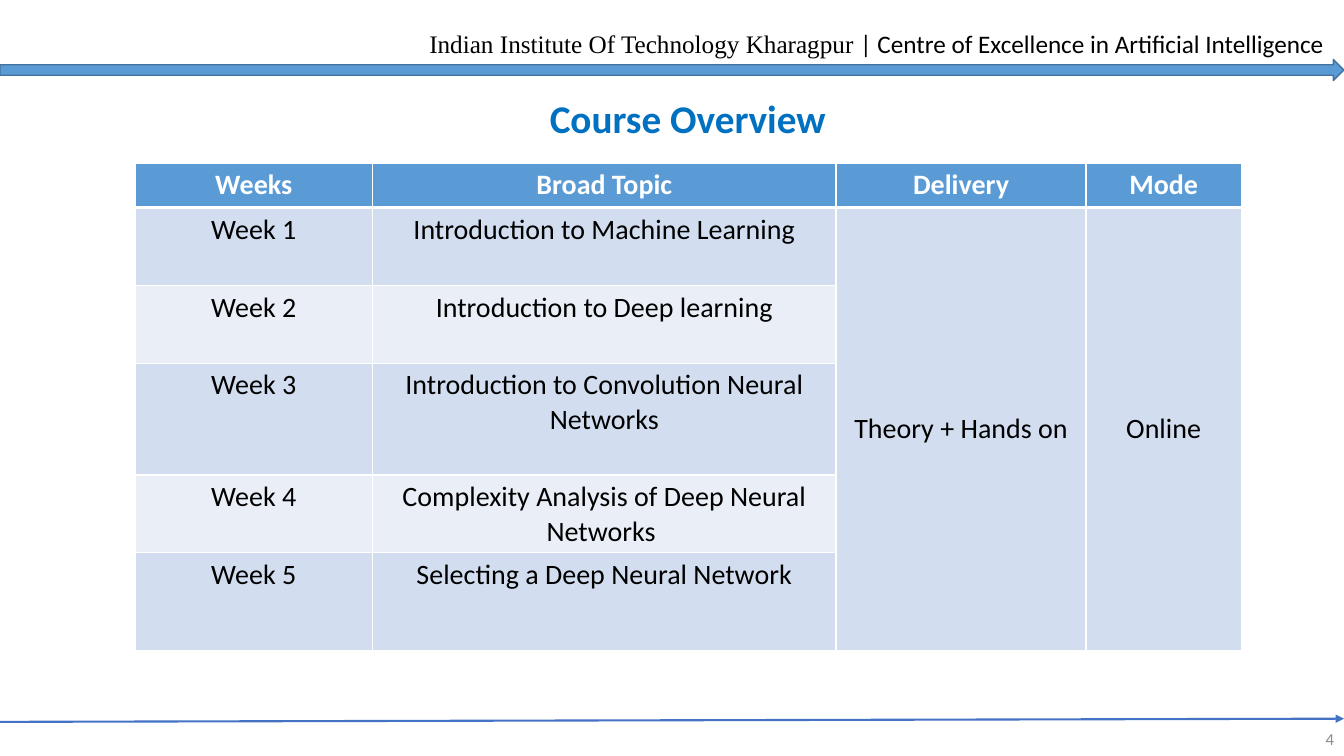
from lxml.etree import SubElement
from pptx import Presentation
from pptx.dml.color import RGBColor
from pptx.enum.shapes import MSO_CONNECTOR as Link, MSO_SHAPE as Shape
from pptx.enum.text import MSO_ANCHOR as Anchor, MSO_AUTO_SIZE as Fit, PP_ALIGN as Align
from pptx.oxml.ns import qn
from pptx.util import Cm, Pt

BLACK = RGBColor(0x00, 0x00, 0x00)
WHITE = RGBColor(0xFF, 0xFF, 0xFF)
GREY = RGBColor(0x8C, 0x8C, 0x8C)
BLUE = RGBColor(0x5B, 0x9B, 0xD5)
EDGE = RGBColor(0x43, 0x73, 0x9E)
RULE = RGBColor(0x44, 0x72, 0xC4)
TITLE = RGBColor(0x00, 0x70, 0xC0)
BAND = RGBColor(0xD2, 0xDE, 0xEF)
PALE = RGBColor(0xEA, 0xEF, 0xF7)

WIDE, HIGH = Cm(33.87), Cm(19.05)
COLS = [5.99, 11.68, 6.3, 3.91]
TALL = [1.12, 1.96, 1.96, 2.82, 1.96, 2.46]
HEADS = ["Weeks", "Broad Topic", "Delivery", "Mode"]
TOPICS = [
    "Introduction to Machine Learning",
    "Introduction to Deep learning",
    "Introduction to Convolution Neural Networks",
    "Complexity Analysis of Deep Neural Networks ",
    "Selecting a Deep Neural Network",
]
SHARED = ["Theory + Hands on", "Online"]


def style(run, size, color, bold=False, face="Calibri"):
    font = run.font
    font.size, font.bold, font.name = Pt(size), bold, face
    font.color.rgb = color


def add_head(slide, left, top, width):
    """Place the institute line above a full-width arrow."""
    box = slide.shapes.add_textbox(left + Cm(10.57), top, width - Cm(10.57), Cm(1.02))
    box.text_frame.word_wrap = False
    para = box.text_frame.paragraphs[0]
    for text, face in [
        ("Indian Institute Of Technology Kharagpur ", "Times New Roman"),
        ("| Centre of Excellence in Artificial Intelligence", "Calibri"),
    ]:
        run = para.add_run()
        run.text = text
        style(run, 18, BLACK, face=face)

    arrow = slide.shapes.add_shape(Shape.RIGHT_ARROW, left, top + Cm(0.92), width, Cm(0.53))
    arrow.shadow.inherit = False
    arrow.fill.solid()
    arrow.fill.fore_color.rgb = BLUE
    arrow.line.color.rgb = EDGE
    arrow.line.width = Pt(1)


def add_title(slide, left, top, width, height):
    title = slide.shapes.title
    title.left, title.top, title.width, title.height = left, top, width, height
    frame = title.text_frame
    frame.text = "Course Overview"
    frame.word_wrap, frame.auto_size = False, Fit.NONE
    frame.vertical_anchor = Anchor.TOP
    para = frame.paragraphs[0]
    para.alignment = Align.CENTER
    style(para.runs[0], 28, TITLE, True)


def edge_cell(cell, base):
    """Draw white borders, with a bottom one of the given points."""
    props = cell._tc.get_or_add_tcPr()
    for side, size in [("L", 1), ("R", 1), ("T", 1), ("B", base)]:
        line = SubElement(props, qn("a:ln" + side), w=str(Pt(size)))
        fill = SubElement(line, qn("a:solidFill"))
        SubElement(fill, qn("a:srgbClr"), val=str(WHITE))


def add_plan(slide, left, top, width, height):
    """Place the course table, its last two columns merged below the heads."""
    table = slide.shapes.add_table(len(TALL), len(COLS), left, top, width, height).table
    for col, size in zip(table.columns, COLS):
        col.width = Cm(size)
    for row, size in zip(table.rows, TALL):
        row.height = Cm(size)

    rows = [HEADS] + [[f"Week {i}", topic, "", ""] for i, topic in enumerate(TOPICS, 1)]
    rows[1][2:] = SHARED
    for r, texts in enumerate(rows):
        head = r == 0
        for c, text in enumerate(texts):
            cell = table.cell(r, c)
            edge_cell(cell, 3 if head else 1)
            cell.fill.solid()
            cell.fill.fore_color.rgb = BLUE if head else BAND if r % 2 or c > 1 else PALE
            if not text:
                continue
            cell.text_frame.text = text
            para = cell.text_frame.paragraphs[0]
            para.alignment = Align.CENTER
            style(para.runs[0], 20, WHITE if head else BLACK, head)
    for c in (2, 3):
        cell = table.cell(1, c)
        cell.merge(table.cell(len(TOPICS), c))
        cell.vertical_anchor = Anchor.MIDDLE
    table.cell(0, 2).vertical_anchor = Anchor.MIDDLE


def add_foot(slide, left, top, width):
    """Place the slightly rising bottom arrow and the page number."""
    line = slide.shapes.add_connector(Link.STRAIGHT, left, top + Cm(0.08), left + width, top)
    line.line.color.rgb = RULE
    line.line.width = Pt(1.5)
    SubElement(line.line._get_or_add_ln(), qn("a:tailEnd"), type="triangle")
    SubElement(line._element.spPr, qn("a:effectLst"))

    box = slide.shapes.add_textbox(left + width - Cm(7.63), top, Cm(7.63), Cm(1.02))
    frame = box.text_frame
    frame.text = "4"
    frame.word_wrap, frame.vertical_anchor = True, Anchor.MIDDLE
    para = frame.paragraphs[0]
    para.alignment = Align.RIGHT
    style(para.runs[0], 12, GREY)


def main():
    deck = Presentation()
    deck.slide_width, deck.slide_height = WIDE, HIGH
    slide = deck.slides.add_slide(deck.slide_layouts.get_by_name("Title Only"))
    add_head(slide, 0, Cm(0.58), WIDE)
    add_foot(slide, 0, Cm(18.11), WIDE)
    add_plan(slide, Cm(3.4), Cm(4.11), Cm(sum(COLS)), Cm(sum(TALL)))
    add_title(slide, Cm(13.56), Cm(2.26), Cm(7.54), Cm(1.45))
    deck.save("out.pptx")


if __name__ == "__main__":
    main()
